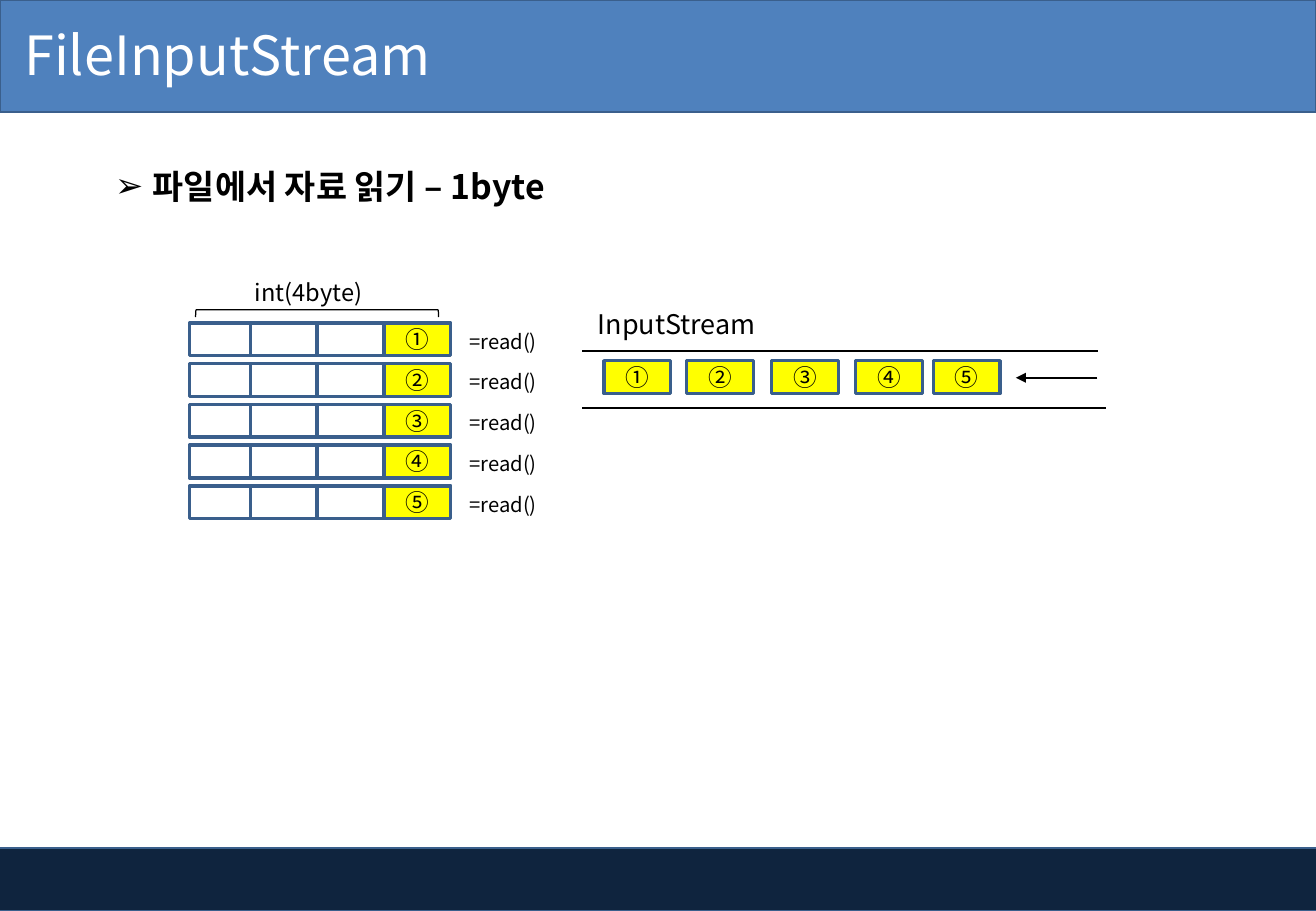
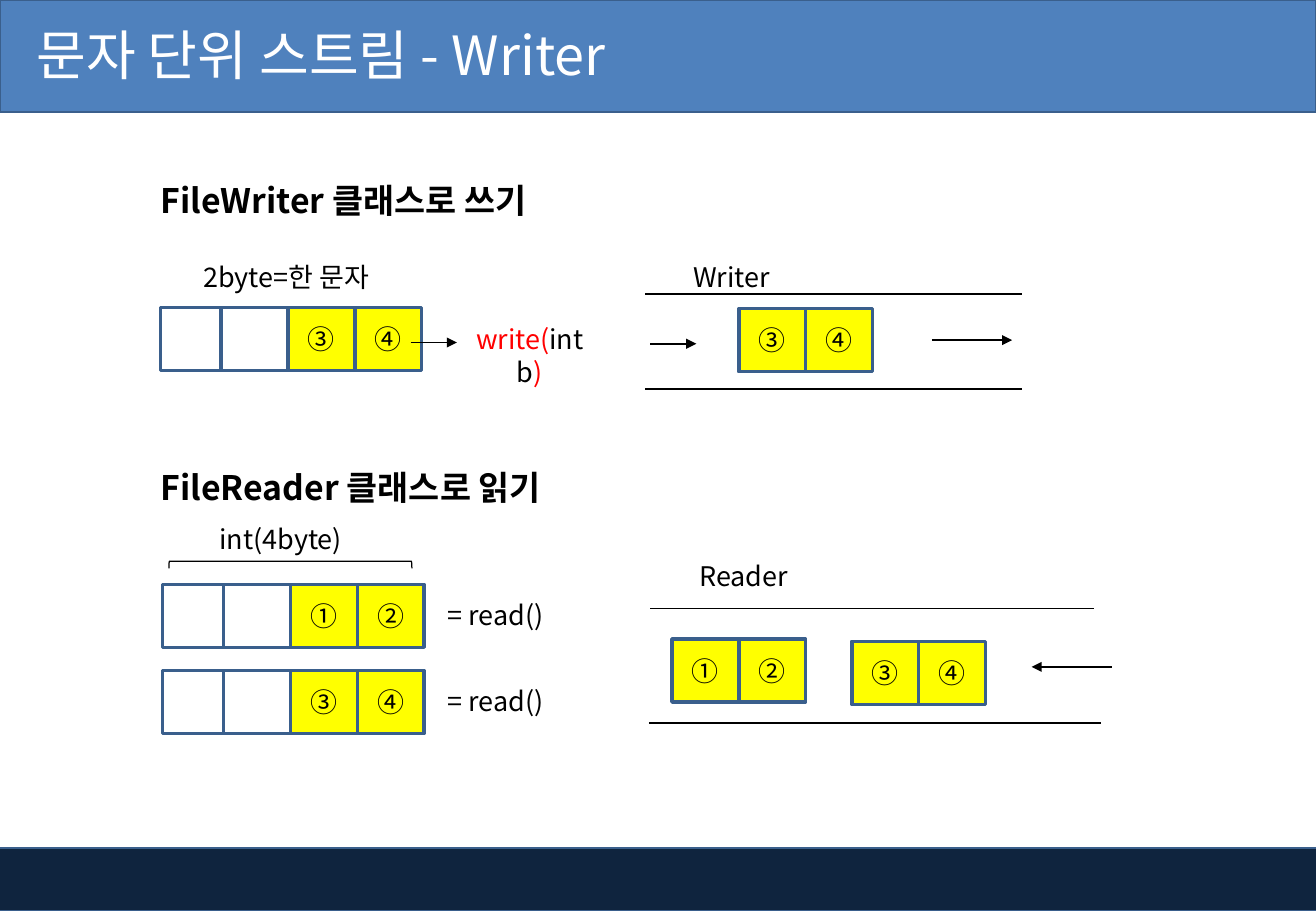
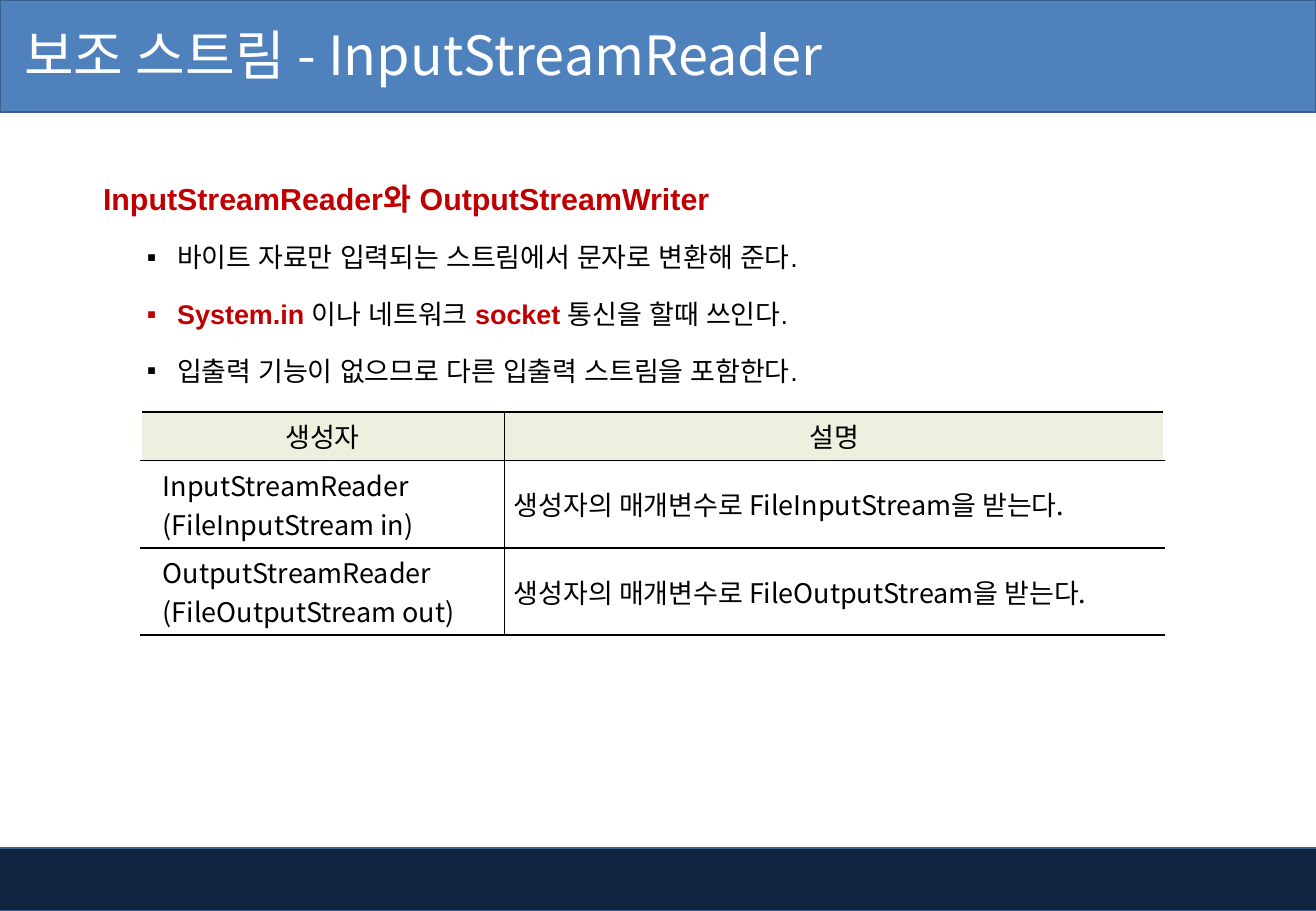
"""Build three slides on Java input and output streams."""
import dataclasses
import typing

import lxml.etree
import pptx
import pptx.dml.color
import pptx.enum.shapes
import pptx.enum.text
import pptx.oxml.ns
import pptx.shapes.autoshape
import pptx.slide
import pptx.table
import pptx.text.text
import pptx.util

Inches = pptx.util.Inches
Shape = pptx.shapes.autoshape.Shape
Slide = pptx.slide.Slide
Par = pptx.text.text._Paragraph
Kind = pptx.enum.shapes.MSO_SHAPE
Align = pptx.enum.text.PP_ALIGN
Anchor = pptx.enum.text.MSO_ANCHOR
Fit = pptx.enum.text.MSO_AUTO_SIZE


@dataclasses.dataclass(frozen=True)
class Theme:
    font: str = "Noto Sans CJK KR"
    plain: str = "Arial"
    navy: str = "0F243E"
    blue: str = "4F81BD"
    edge: str = "3A5F8C"
    white: str = "FFFFFF"
    black: str = "000000"
    mark: str = "FFFF00"
    red: str = "FF0000"
    deep: str = "C00000"
    pale: str = "EBF1DE"
    title: int = 32
    head: int = 20
    lead: int = 18
    body: int = 16
    small: int = 14
    tiny: int = 12


THEME = Theme()


@dataclasses.dataclass(frozen=True)
class Look:
    size: int = THEME.body
    color: str = THEME.black
    bold: bool = False
    font: str = THEME.font


@dataclasses.dataclass(frozen=True)
class Box:
    left: float
    top: float
    width: float
    height: float


@dataclasses.dataclass(frozen=True)
class Bit:
    text: str
    look: Look


@dataclasses.dataclass(frozen=True)
class Row:
    left: float
    top: float
    height: float
    marks: tuple[str, ...]
    size: int = THEME.body


@dataclasses.dataclass(frozen=True)
class Line:
    left: float
    top: float
    end: float
    arrow: bool = False


@dataclasses.dataclass(frozen=True)
class Label:
    text: str
    box: Box
    size: int = THEME.body


def tint(code: str) -> pptx.dml.color.RGBColor:
    return pptx.dml.color.RGBColor.from_string(code)


def child(node: typing.Any, tag: str, **attrs: str) -> typing.Any:
    return lxml.etree.SubElement(node, pptx.oxml.ns.qn(tag), attrs)


def style(par: Par, look: Look) -> None:
    for run in par.runs:
        run.font.name = look.font
        run.font.size = pptx.util.Pt(look.size)
        run.font.bold = look.bold
        run.font.color.rgb = tint(look.color)
        child(run.font._element, "a:ea", typeface=look.font)


def write(frame: typing.Any, text: str, look: Look, align: Align = Align.LEFT) -> None:
    frame.text = text
    for par in frame.paragraphs:
        par.alignment = align
        style(par, look)


def mix(par: Par, bits: tuple[Bit, ...]) -> None:
    for bit in bits:
        par.add_run().text = bit.text
    for run, bit in zip(par.runs, bits):
        run.font.name = bit.look.font
        run.font.size = pptx.util.Pt(bit.look.size)
        run.font.bold = bit.look.bold
        run.font.color.rgb = tint(bit.look.color)
        child(run.font._element, "a:ea", typeface=bit.look.font)


def bullet(par: Par, char: str, left: float, hang: float) -> None:
    props = par._p.get_or_add_pPr()
    props.set("marL", str(Inches(left)))
    props.set("indent", str(-Inches(hang)))
    if char:
        child(props, "a:buFont", typeface=THEME.plain)
        child(props, "a:buChar", char=char)


def place(box: Box) -> tuple[int, int, int, int]:
    return Inches(box.left), Inches(box.top), Inches(box.width), Inches(box.height)


def block(slide: Slide, box: Box, fill: str | None, edge: str | None = None,
          weight: float = 1, kind: Kind = Kind.RECTANGLE) -> Shape:
    shape = slide.shapes.add_shape(kind, *place(box))
    shape.shadow.inherit = False
    if fill:
        shape.fill.solid()
        shape.fill.fore_color.rgb = tint(fill)
    else:
        shape.fill.background()
    if edge:
        shape.line.color.rgb = tint(edge)
        shape.line.width = pptx.util.Pt(weight)
    else:
        shape.line.fill.background()
    return shape


def panel(slide: Slide, box: Box) -> typing.Any:
    frame = slide.shapes.add_textbox(*place(box)).text_frame
    frame.word_wrap = True
    return frame


def label(slide: Slide, item: Label) -> None:
    frame = panel(slide, item.box)
    frame.auto_size = Fit.SHAPE_TO_FIT_TEXT
    write(frame, item.text, Look(item.size), Align.CENTER)


def cells(slide: Slide, row: Row) -> None:
    left = row.left
    for place, mark in enumerate(row.marks):
        width = 0.5 if place == 0 and not mark else 0.55
        fill = THEME.mark if mark else THEME.white
        shape = block(slide, Box(left, row.top, width, row.height), fill, THEME.edge, 2)
        if mark:
            shape.text_frame.vertical_anchor = Anchor.MIDDLE
            write(shape.text_frame, mark, Look(row.size), Align.CENTER)
        left += width


def rule(slide: Slide, line: Line) -> None:
    link = slide.shapes.add_connector(
        pptx.enum.shapes.MSO_CONNECTOR.STRAIGHT, Inches(line.left), Inches(line.top),
        Inches(line.end), Inches(line.top))
    link.line.color.rgb = tint(THEME.black)
    link.line.width = pptx.util.Pt(1)
    if line.arrow:
        child(link.line._get_or_add_ln(), "a:tailEnd", type="triangle")
    child(link._element.spPr, "a:effectLst")


def brace(slide: Slide, left: float, top: float) -> None:
    box = Box(left, top, 0.06, 2)
    block(slide, box, None, THEME.black, 0.75, Kind.RIGHT_BRACKET).rotation = 270


def heading(slide: Slide, text: str, box: Box, kind: Kind, inset: float = 0.1) -> Par:
    frame = block(slide, box, THEME.white, kind=kind).text_frame
    frame.vertical_anchor = Anchor.MIDDLE
    frame.auto_size = Fit.SHAPE_TO_FIT_TEXT
    frame.margin_left = Inches(inset)
    write(frame, text, Look(THEME.head, bold=True))
    frame.paragraphs[0].line_spacing = 1.5
    return frame.paragraphs[0]


def start(deck: typing.Any, title: str, inset: float = 0.2) -> Slide:
    slide = deck.slides.add_slide(deck.slide_layouts[6])
    block(slide, Box(-0.04, 6.98, 10.88, 0.52), THEME.navy, THEME.edge)
    block(slide, Box(0, 0, 10.83, 0.92), THEME.blue, THEME.edge)
    frame = panel(slide, Box(0, -0.03, 7.94, 0.94))
    frame.vertical_anchor = Anchor.MIDDLE
    frame.margin_left = Inches(inset)
    write(frame, title, Look(THEME.title, THEME.white))
    return slide


def draw(slide: Slide, rows: list[Row], lines: list[Line], labels: list[Label]) -> None:
    for row in rows:
        cells(slide, row)
    for line in lines:
        rule(slide, line)
    for item in labels:
        label(slide, item)


def bytewise(deck: typing.Any) -> None:
    slide = start(deck, "FileInputStream")
    par = heading(slide, "파일에서 자료 읽기 – 1byte", Box(0.85, 1.14, 4.55, 0.61), Kind.RECTANGLE)
    bullet(par, "➢", 0.31, 0.31)
    rows, labels = [], []
    marks = "①②③④⑤"
    spots = (4.97, 5.65, 6.35, 7.04, 7.68)
    for step, (mark, spot) in enumerate(zip(marks, spots)):
        top = 2.66 + step * 0.335
        rows.append(Row(1.56, top, 0.27, ("", "", "", mark), THEME.small))
        rows.append(Row(spot, 2.97, 0.27, (mark,), THEME.small))
        labels.append(Label("=read()", Box(3.72, top, 0.84, 0.3), THEME.tiny))
    labels += [
        Label("InputStream", Box(4.79, 2.48, 1.56, 0.37)),
        Label("int(4byte)", Box(1.83, 2.24, 1.42, 0.34), THEME.small),
    ]
    lines = [Line(4.79, 2.89, 9.04), Line(4.79, 3.36, 9.1), Line(9.03, 3.11, 8.36, True)]
    draw(slide, rows, lines, labels)
    brace(slide, 2.58, 1.58)


def textwise(deck: typing.Any) -> None:
    slide = start(deck, "문자 단위 스트림 - Writer", 0.3)
    for text, top in (("FileWriter 클래스로 쓰기", 1.23), ("FileReader 클래스로 읽기", 3.59)):
        heading(slide, text, Box(1.07, top, 5.64, 0.67), Kind.ROUNDED_RECTANGLE, 0.22)
    first, last = ("①", "②"), ("③", "④")
    blank = ("", "")
    rows = [
        Row(1.32, 2.53, 0.52, blank + last),
        Row(6.08, 2.54, 0.52, last),
        Row(1.34, 4.81, 0.52, blank + first),
        Row(1.34, 5.52, 0.52, blank + last),
        Row(5.53, 5.26, 0.52, first),
        Row(7.01, 5.28, 0.52, last),
    ]
    lines = [
        Line(5.31, 2.42, 8.41),
        Line(5.31, 3.2, 8.41),
        Line(3.38, 2.82, 3.76, True),
        Line(5.35, 2.83, 5.73, True),
        Line(7.67, 2.8, 8.33, True),
        Line(5.35, 5.01, 9),
        Line(5.34, 5.95, 9.06),
        Line(9.15, 5.49, 8.49, True),
    ]
    labels = [
        Label("2byte=한 문자", Box(1.5, 2.1, 1.71, 0.37)),
        Label("Writer", Box(5.31, 2.1, 1.42, 0.37)),
        Label("int(4byte)", Box(1.6, 4.25, 1.42, 0.37)),
        Label("Reader", Box(5.57, 4.56, 1.1, 0.37)),
        Label("= read()", Box(3.53, 4.88, 1.1, 0.37)),
        Label("= read()", Box(3.53, 5.59, 1.1, 0.37)),
    ]
    draw(slide, rows, lines, labels)
    brace(slide, 2.36, 3.65)
    frame = panel(slide, Box(3.7, 2.61, 1.32, 0.37))
    frame.auto_size = Fit.SHAPE_TO_FIT_TEXT
    frame.paragraphs[0].alignment = Align.CENTER
    red = Look(color=THEME.red)
    mix(frame.paragraphs[0], (Bit("write(", red), Bit("int b", Look()), Bit(")", red)))


def border(cell: pptx.table._Cell, sides: tuple[str, ...]) -> None:
    props = cell._tc.get_or_add_tcPr()
    for place, side in enumerate(sides):
        line = lxml.etree.Element(pptx.oxml.ns.qn(f"a:{side}"), w=str(pptx.util.Pt(1)))
        child(child(line, "a:solidFill"), "a:srgbClr", val=THEME.black)
        props.insert(place, line)


def grid(slide: Slide) -> None:
    texts = (
        ("생성자", "설명"),
        ("InputStreamReader\n(FileInputStream in)", "생성자의 매개변수로 FileInputStream을 받는다."),
        ("OutputStreamReader\n(FileOutputStream out)", "생성자의 매개변수로 FileOutputStream을 받는다."),
    )
    table = slide.shapes.add_table(3, 2, *place(Box(1.16, 3.39, 8.42, 1.84))).table
    table.first_row = table.horz_banding = False
    for column, width in zip(table.columns, (2.99, 5.43)):
        column.width = Inches(width)
    for line, height in zip(table.rows, (0.4, 0.72, 0.72)):
        line.height = Inches(height)
    for down, pair in enumerate(texts):
        for across, text in enumerate(pair):
            cell = table.cell(down, across)
            top = down == 0
            cell.vertical_anchor = Anchor.MIDDLE
            cell.margin_left = Inches(0.08 if top or across else 0.18)
            cell.margin_right = Inches(0.08)
            cell.margin_top = cell.margin_bottom = Inches(0.04)
            write(cell.text_frame, text, Look(), Align.CENTER if top else Align.LEFT)
            if top:
                cell.fill.solid()
                cell.fill.fore_color.rgb = tint(THEME.pale)
            else:
                cell.fill.background()
            border(cell, ("lnL" if across else "lnR", "lnT", "lnB"))


def bridge(deck: typing.Any) -> None:
    slide = start(deck, "보조 스트림 - InputStreamReader")
    frame = panel(slide, Box(0.61, 1.28, 9.54, 1.79))
    lead = Look(THEME.lead, THEME.deep, True, THEME.plain)
    plain = Look(font=THEME.plain)
    strong = Look(color=THEME.deep, bold=True, font=THEME.plain)
    first = frame.paragraphs[0]
    first.line_spacing = 1.5
    bullet(first, "", 0.14, 0)
    mix(first, (Bit("InputStreamReader와 OutputStreamWriter", lead),))
    points = (
        (Bit("바이트 자료만 입력되는 스트림에서 문자로 변환해 준다.", plain),),
        (Bit("System.in ", strong), Bit("이나 네트워크 ", plain),
         Bit("socket ", strong), Bit("통신을 할때 쓰인다.", plain)),
        (Bit("입출력 기능이 없으므로 다른 입출력 스트림을 포함한다.", plain),),
    )
    for bits in points:
        par = frame.add_paragraph()
        par.level = 1
        par.line_spacing = 1.5
        par.space_before = pptx.util.Pt(5)
        bullet(par, "▪", 0.75, 0.25)
        mix(par, bits)
    grid(slide)


def main() -> None:
    deck = pptx.Presentation()
    deck.slide_width = Inches(10.83)
    deck.slide_height = Inches(7.5)
    bytewise(deck)
    textwise(deck)
    bridge(deck)
    deck.save("out.pptx")


if __name__ == "__main__":
    main()
